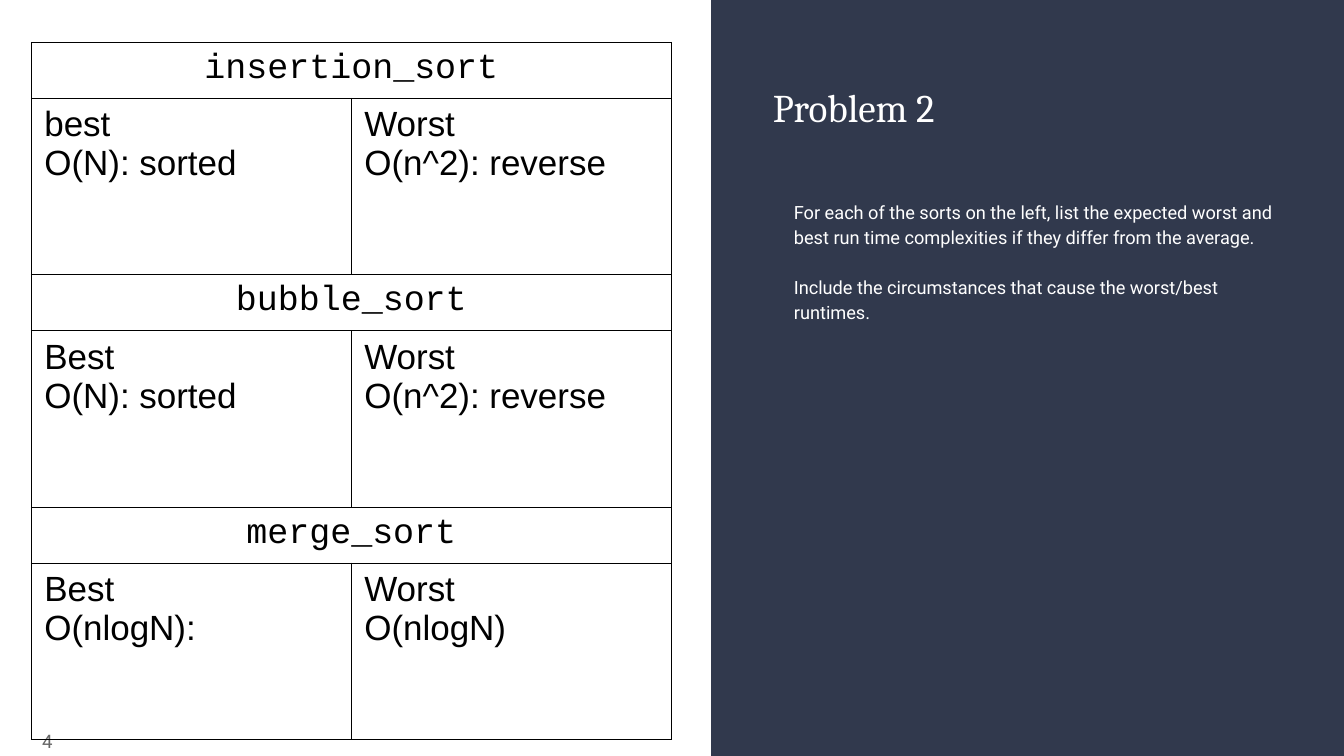
"""Builds the Problem 2 slide: a table of sort run times beside a dark panel."""
from lxml import etree
from pptx import Presentation
from pptx.dml.color import RGBColor
from pptx.enum.shapes import MSO_SHAPE
from pptx.enum.text import MSO_ANCHOR, PP_ALIGN
from pptx.oxml.ns import qn
from pptx.util import Pt

RECTANGLE = MSO_SHAPE.RECTANGLE
TOP, MIDDLE = MSO_ANCHOR.TOP, MSO_ANCHOR.MIDDLE
LEFT, CENTER, RIGHT = PP_ALIGN.LEFT, PP_ALIGN.CENTER, PP_ALIGN.RIGHT

NAVY = RGBColor(0x31, 0x39, 0x4D)
WHITE = RGBColor(0xFF, 0xFF, 0xFF)
BLACK = RGBColor(0x00, 0x00, 0x00)
GRAY = RGBColor(0x66, 0x66, 0x66)

WIDTH, HEIGHT = 960, 540
PANEL_LEFT = 508
COLUMN_WIDTH = 228.6
HEADING_HEIGHT, ANSWER_HEIGHT = 39.5, 126

SORTS = [
    ("insertion_sort", "best\nO(N): sorted", "Worst\nO(n^2): reverse"),
    ("bubble_sort", "Best\nO(N): sorted", "Worst\nO(n^2): reverse"),
    ("merge_sort", "Best\nO(nlogN):", "Worst\nO(nlogN)"),
]
INSTRUCTIONS = (
    "For each of the sorts on the left, list the expected worst and best "
    "run time complexities if they differ from the average.\n"
    "Include the circumstances that cause the worst/best runtimes."
)


def write(text_frame, text, font, size, color, align=LEFT, spacing=1.0, gap=0, indent=0):
    for index, line in enumerate(text.split("\n")):
        paragraph = text_frame.paragraphs[0] if index == 0 else text_frame.add_paragraph()
        properties = paragraph._p.get_or_add_pPr()
        properties.set("marL", str(Pt(indent)))
        properties.set("indent", "0")
        paragraph.alignment = align
        paragraph.line_spacing = spacing
        paragraph.space_before = Pt(gap if index else 0)
        run = paragraph.add_run()
        run.text = line
        run.font.name = font
        run.font.size = Pt(size)
        run.font.color.rgb = color


class SlideBuilder:
    def __init__(self, slide):
        self.slide = slide
        self.inset = 7.2
        self.cell_insets = (9.4, 5)
        self.border_width = 0.75
        self.border_color = BLACK

    def paint(self, shape, color):
        shape.shadow.inherit = False
        shape.fill.solid()
        shape.fill.fore_color.rgb = color
        shape.line.fill.background()

    def rectangle(self, left, top, width, height, color):
        shape = self.slide.shapes.add_shape(RECTANGLE, Pt(left), Pt(top), Pt(width), Pt(height))
        self.paint(shape, color)

    def polygon(self, points, color):
        start, *rest = [(Pt(x), Pt(y)) for x, y in points]
        builder = self.slide.shapes.build_freeform(*start)
        builder.add_line_segments(rest, close=True)
        self.paint(builder.convert_to_shape(), color)

    def text(self, left, top, width, height, text, anchor=TOP, **style):
        box = self.slide.shapes.add_textbox(Pt(left), Pt(top), Pt(width), Pt(height))
        frame = box.text_frame
        frame.word_wrap = True
        frame.vertical_anchor = anchor
        frame.margin_left = frame.margin_right = Pt(self.inset)
        frame.margin_top = frame.margin_bottom = Pt(self.inset)
        write(frame, text, **style)

    def border(self, cell):
        properties = cell._tc.get_or_add_tcPr()
        for side in ("lnL", "lnR", "lnT", "lnB"):
            line = etree.SubElement(properties, qn(f"a:{side}"), w=str(Pt(self.border_width)))
            fill = etree.SubElement(line, qn("a:solidFill"))
            etree.SubElement(fill, qn("a:srgbClr"), val=str(self.border_color))

    def table(self, left, top, column_widths, row_heights):
        frame = self.slide.shapes.add_table(
            len(row_heights), len(column_widths), Pt(left), Pt(top),
            Pt(sum(column_widths)), Pt(sum(row_heights)))
        table = frame.table
        table.first_row = table.horz_banding = False
        for column, width in zip(table.columns, column_widths):
            column.width = Pt(width)
        for row, height in zip(table.rows, row_heights):
            row.height = Pt(height)
        side, end = self.cell_insets
        for cell in table.iter_cells():
            cell.margin_left = cell.margin_right = Pt(side)
            cell.margin_top = cell.margin_bottom = Pt(end)
            self.border(cell)
            cell.fill.background()
        return table


def main():
    presentation = Presentation()
    presentation.slide_width, presentation.slide_height = Pt(WIDTH), Pt(HEIGHT)
    slide = presentation.slides.add_slide(presentation.slide_layouts[6])
    slide.background.fill.solid()
    slide.background.fill.fore_color.rgb = WHITE
    builder = SlideBuilder(slide)

    builder.rectangle(PANEL_LEFT, 0, WIDTH - PANEL_LEFT, HEIGHT, NAVY)
    builder.polygon([(PANEL_LEFT, 0), (WIDTH, 0), (WIDTH, 369), (PANEL_LEFT, 513)], NAVY)
    builder.text(0, 519, 44.6, 21, "4", anchor=MIDDLE,
                 font="Roboto", size=13.3, color=GRAY, align=RIGHT)
    builder.text(545, 52.6, 389, 67, "Problem 2", font="Cambria", size=28, color=WHITE)
    builder.text(545, 134, 389, 281, INSTRUCTIONS, font="Roboto", size=13,
                 color=WHITE, spacing=1.15, gap=18, indent=15)

    table = builder.table(22.3, 30.2, [COLUMN_WIDTH] * 2,
                          [HEADING_HEIGHT, ANSWER_HEIGHT] * len(SORTS))
    for index, (name, *answers) in enumerate(SORTS):
        heading = table.cell(2 * index, 0)
        heading.merge(table.cell(2 * index, 1))
        write(heading.text_frame, name, "Courier New", 25, BLACK, align=CENTER)
        for column, answer in enumerate(answers):
            write(table.cell(2 * index + 1, column).text_frame, answer, "Arial", 25, BLACK)

    presentation.save("out.pptx")


if __name__ == "__main__":
    main()
